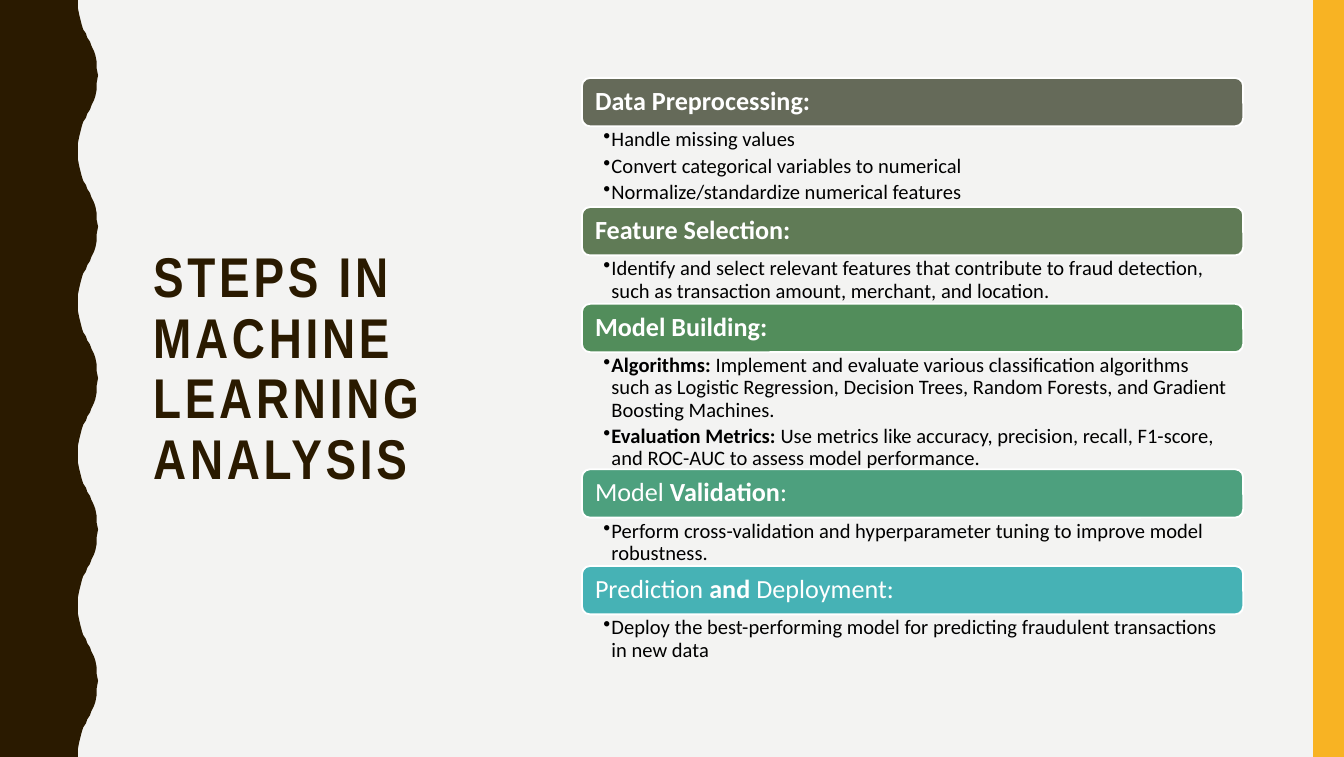
from lxml.etree import SubElement
from pptx import Presentation
from pptx.dml.color import RGBColor
from pptx.enum.shapes import MSO_SHAPE
from pptx.enum.text import MSO_ANCHOR, MSO_AUTO_SIZE, PP_ALIGN
from pptx.oxml.ns import qn
from pptx.util import Inches, Pt

HEX = {
    "paper": "F3F3F2", "brown": "2A1A00", "gold": "F8B323",
    "white": "FFFFFF", "black": "000000",
    "olive": "656A59", "moss": "607B56", "green": "528D5B",
    "jade": "4DA07E", "teal": "46B2B5",
}

# Heading, bar colour, body height in inches, bullets; *stars* mark bold
STEPS = [
    ("*Data Preprocessing:*", "olive", 0.6, [
        "Handle missing values",
        "Convert categorical variables to numerical",
        "Normalize/standardize numerical features"]),
    ("*Feature Selection:*", "moss", 0.36, [
        "Identify and select relevant features that contribute to fraud "
        "detection, such as transaction amount, merchant, and location."]),
    ("*Model Building:*", "green", 0.87, [
        "*Algorithms: *Implement and evaluate various classification "
        "algorithms such as Logistic Regression, Decision Trees, Random "
        "Forests, and Gradient Boosting Machines.",
        "*Evaluation Metrics: *Use metrics like accuracy, precision, recall, "
        "F1-score, and ROC-AUC to assess model performance."]),
    ("Model *Validation*:", "jade", 0.36, [
        "Perform cross-validation and hyperparameter tuning to improve model "
        "robustness."]),
    ("Prediction *and* Deployment:", "teal", 0.36, [
        "Deploy the best-performing model for predicting fraudulent "
        "transactions in new data"]),
]

# Outward half of one wave: distance down and x, in inches
SWELL = [
    (0, 0.58), (0.06, 0.58), (0.11, 0.59), (0.15, 0.6), (0.19, 0.61),
    (0.22, 0.62), (0.25, 0.64), (0.28, 0.65), (0.31, 0.67), (0.34, 0.68),
    (0.38, 0.7), (0.41, 0.71), (0.46, 0.72), (0.51, 0.72), (0.56, 0.73),
]
WAVES = 5


def tint(name):
    return RGBColor.from_string(HEX[name])


def write(frame, lines, size, color, font="Calibri", pad=(0.1, 0.05, 0.1, 0.05),
          anchor=MSO_ANCHOR.TOP, after=0, track=0, indent=0, bullet=None):
    """Fill a text frame; text between stars is bold, pad is left, top, right, bottom."""
    frame.word_wrap = True
    frame.auto_size = MSO_AUTO_SIZE.NONE
    frame.vertical_anchor = anchor
    (frame.margin_left, frame.margin_top,
     frame.margin_right, frame.margin_bottom) = map(Inches, pad)
    for i, line in enumerate(lines):
        para = frame.add_paragraph() if i else frame.paragraphs[0]
        para.alignment = PP_ALIGN.LEFT
        para.line_spacing = 0.9
        para.space_before, para.space_after = Pt(0), Pt(after)
        props = para._p.get_or_add_pPr()
        props.set("marL", str(Inches(indent)))
        props.set("indent", str(-Inches(indent) if bullet else 0))
        if bullet:
            SubElement(props, qn("a:buChar")).set("char", bullet)
        for j, part in enumerate(line.split("*")):
            if not part:
                continue
            run = para.add_run()
            run.text = part
            run.font.name, run.font.size = font, Pt(size)
            run.font.bold = j % 2 == 1
            run.font.color.rgb = tint(color)
            if track:
                run._r.get_or_add_rPr().set("spc", str(track * 100))


def paint(shape, fill, line=None):
    shape.shadow.inherit = False
    shape.fill.solid()
    shape.fill.fore_color.rgb = tint(fill)
    if line:
        shape.line.color.rgb = tint(line)
        shape.line.width = Pt(1)
    else:
        shape.line.fill.background()


def add_wave(slide, height):
    """Left band whose right edge is a row of equal waves."""
    period = height / WAVES
    crest = SWELL + [(period - y, x) for y, x in reversed(SWELL[:-1])]
    edge = [(Inches(x), Inches(n * period + y))
            for n in range(WAVES) for y, x in crest]
    form = slide.shapes.build_freeform(0, 0)
    form.add_line_segments(edge + [(0, Inches(height))], close=True)
    paint(form.convert_to_shape(), "brown")


def add_stripe(slide, *box):
    paint(slide.shapes.add_shape(MSO_SHAPE.RECTANGLE, *map(Inches, box)), "gold")


def set_title(slide, text, *box):
    title = slide.shapes.title
    title.left, title.top, title.width, title.height = map(Inches, box)
    write(title.text_frame, [f"*{text}*"], 30, "brown", font="Arial Narrow",
          anchor=MSO_ANCHOR.MIDDLE, track=2, indent=0.01)


def add_steps(slide, left, top, width, bar=0.36):
    """Stack of coloured headings, each with its bullets below."""
    for head, color, depth, points in STEPS:
        label = slide.shapes.add_shape(
            MSO_SHAPE.ROUNDED_RECTANGLE,
            *map(Inches, (left, top, width, bar)))
        paint(label, color, "white")
        write(label.text_frame, [head], 14, "white",
              pad=(0.08, 0.06, 0.08, 0.06), anchor=MSO_ANCHOR.MIDDLE)
        body = slide.shapes.add_textbox(
            *map(Inches, (left, top + bar, width, depth)))
        write(body.text_frame, points, 11, "black",
              pad=(0.16, 0.02, 0.11, 0.02), after=2.2, indent=0.06, bullet="•")
        top += bar + depth


def main():
    deck = Presentation()
    wide, high = 10, 5.63
    deck.slide_width, deck.slide_height = Inches(wide), Inches(high)
    slide = deck.slides.add_slide(deck.slide_layouts[5])
    slide.background.fill.solid()
    slide.background.fill.fore_color.rgb = tint("paper")
    add_wave(slide, high)
    add_stripe(slide, 9.77, 0, 0.23, high)
    set_title(slide, "STEPS IN MACHINE LEARNING ANALYSIS", 1.03, 0.53, 2.78, 4.45)
    add_steps(slide, 4.33, 0.58, 4.92)
    deck.save("out.pptx")


if __name__ == "__main__":
    main()
